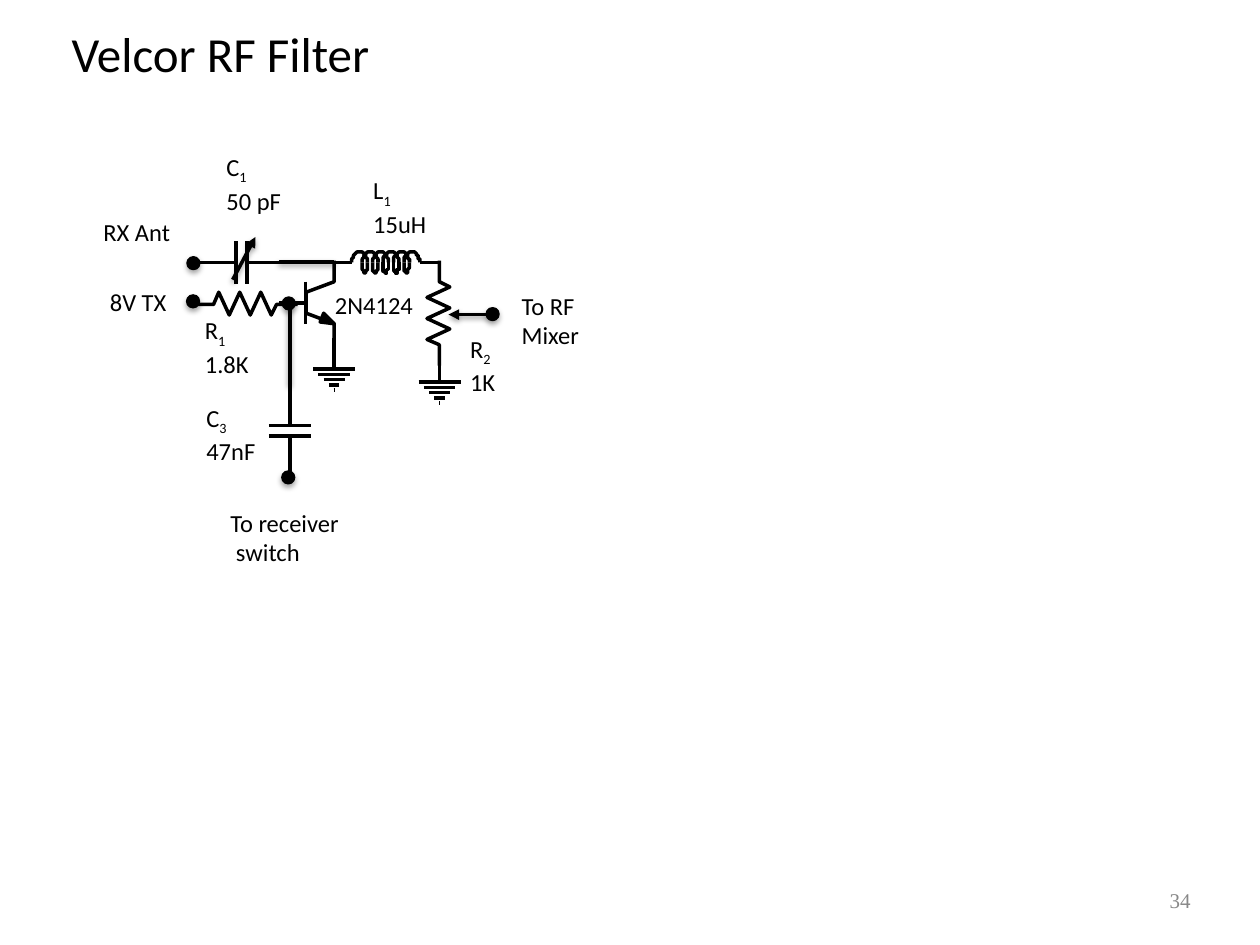
from math import cos, pi, sin

from lxml.etree import SubElement
from pptx import Presentation
from pptx.dml.color import RGBColor
from pptx.enum.shapes import MSO_CONNECTOR, MSO_SHAPE
from pptx.enum.text import MSO_ANCHOR, PP_ALIGN
from pptx.oxml.ns import qn
from pptx.util import Pt

COLORS = {"ink": "000000", "number": "888888"}
STROKE = 2
ZIGZAG = [(0, 0), (0, 12), (6.3, 15), (-6.3, 21), (6.3, 27), (-6.3, 33),
          (6.3, 39), (-6.3, 45), (0, 48), (0, 60)]
LABELS = [
    ("R_2\n1K", 265, 187.2, 53, 41),
    ("8V TX", 59.2, 160.6, 52, 24.2),
    ("C_1\n50 pF", 125.8, 83.5, 53, 41),
    ("RX Ant", 55.5, 120.7, 62, 24.2),
    ("2N4124", 187.8, 162, 62, 24.2),
    ("R_1\n1.8K", 113.5, 176.7, 53, 41),
    ("L_1\n15uH", 209.7, 96.7, 53, 41),
    ("C_3\n47nF", 114.3, 226.8, 43, 41),
    ("To receiver\n switch", 128, 286.6, 72, 41),
    ("To RF\nMixer", 294.5, 162.7, 72, 41),
]


def color(name):
    """Return a named colour from the palette."""
    return RGBColor.from_string(COLORS[name])


def add_effects(shape, opacity=0, distance=1.6):
    """Give a shape a soft shadow below it, or none at zero opacity."""
    effects = SubElement(shape._element.spPr, qn("a:effectLst"))
    if opacity:
        shadow = SubElement(effects, qn("a:outerShdw"), blurRad=str(Pt(3)),
                            dist=str(Pt(distance)), dir="5400000", rotWithShape="0")
        tone = SubElement(shadow, qn("a:srgbClr"), val=COLORS["ink"])
        SubElement(tone, qn("a:alpha"), val=str(opacity * 1000))


def add_text(page, text, left, top, width, height, *, size=14, font="Calibri",
             ink="ink", inset=3.6, wrap=True, align=PP_ALIGN.LEFT, anchor=MSO_ANCHOR.TOP):
    """Add a text box; an underscore in a line starts a subscript."""
    box = page.shapes.add_textbox(Pt(left), Pt(top), Pt(width), Pt(height))
    frame = box.text_frame
    frame.word_wrap, frame.vertical_anchor = wrap, anchor
    frame.margin_left = frame.margin_right = Pt(inset)
    frame.margin_top = frame.margin_bottom = Pt(inset)
    for index, line in enumerate(text.split("\n")):
        para = frame.add_paragraph() if index else frame.paragraphs[0]
        para.alignment = align
        for order, part in enumerate(line.split("_")):
            span = para.add_run()
            span.text = part
            span.font.size, span.font.name = Pt(size), font
            span.font.color.rgb = color(ink)
            if order:
                span._r.get_or_add_rPr().set("baseline", "-25000")


def add_wire(page, start_x, start_y, end_x, end_y, arrow=False, shadow=False):
    """Add a straight wire, with an arrowhead at its end if asked."""
    wire = page.shapes.add_connector(MSO_CONNECTOR.STRAIGHT, Pt(start_x), Pt(start_y),
                                     Pt(end_x), Pt(end_y))
    wire.line.width = Pt(STROKE)
    wire.line.color.rgb = color("ink")
    if arrow:
        SubElement(wire.line._get_or_add_ln(), qn("a:tailEnd"), type="triangle")
    add_effects(wire, 38 if shadow else 0)


def add_path(page, points, closed=False):
    """Draw a path through points, filled when closed."""
    builder = page.shapes.build_freeform(*points[0], scale=Pt(1))
    builder.add_line_segments(points[1:], close=closed)
    shape = builder.convert_to_shape()
    shape.shadow.inherit = False
    shape.line.width = Pt(STROKE)
    shape.line.color.rgb = color("ink")
    if closed:
        shape.fill.solid()
        shape.fill.fore_color.rgb = color("ink")
    else:
        shape.fill.background()


def add_terminal(page, center_x, center_y, size=7.4):
    """Add a round terminal."""
    dot = page.shapes.add_shape(MSO_SHAPE.OVAL, Pt(center_x - size / 2),
                                Pt(center_y - size / 2), Pt(size), Pt(size))
    dot.fill.solid()
    dot.fill.fore_color.rgb = color("ink")
    dot.line.color.rgb = color("ink")
    dot.line.width = Pt(0.75)
    add_effects(dot, 35, 1.8)


def add_ground(page, x, top):
    """Add a ground symbol hanging from a lead."""
    add_wire(page, x, top, x, top + 18)
    for index, half in enumerate((12, 9, 6, 3, 0.3)):
        y = top + 18 + 3 * index
        add_wire(page, x - half, y, x + half, y)


def add_arc(page, left, right, y, rise):
    """Add half an ellipse that rises above, or hangs below, its base."""
    middle, radius = (left + right) / 2, (right - left) / 2
    angles = [pi * step / 24 for step in range(25)]
    add_path(page, [(middle - radius * cos(a), y - rise * sin(a)) for a in angles])


def add_inductor(page, left, y, turns=6, pitch=5.95, width=9):
    """Add a coil with a lead on each side."""
    right = left + (turns - 1) * pitch + width
    add_wire(page, left, y, left - 10.8, y)
    add_wire(page, right + 10.8, y, right, y)
    for turn in range(turns):
        start = left + turn * pitch
        add_arc(page, start, start + width, y, 6)
        if turn:
            add_arc(page, start, start - pitch + width, y, -6)


def add_transistor(page, base_x, y):
    """Add an NPN transistor with its three leads."""
    lead = base_x + 16.4
    add_path(page, [(lead, y - 24), (lead, y - 12), (base_x, y - 6),
                    (base_x, y + 6), (lead, y + 12), (lead, y + 24)])
    add_wire(page, base_x, y - 12, base_x, y + 12)
    add_wire(page, base_x, y, base_x - 15, y)
    add_path(page, [(lead, y + 12), (lead - 8, y + 11.3), (lead - 6, y + 6)], closed=True)


def add_tuning_capacitor(page, center_x, y):
    """Add a variable capacitor between horizontal leads."""
    for side in (1, -1):
        plate = center_x + side * 3
        add_wire(page, center_x + side * 30, y, plate, y)
        add_wire(page, plate, y - 12, plate, y + 12)
    add_wire(page, center_x - 5, y + 9.8, center_x + 8, y - 14.6, arrow=True, shadow=True)


def add_capacitor(page, x, center_y):
    """Add a fixed capacitor between vertical leads."""
    for side in (-1, 1):
        plate = center_y + side * 3
        add_wire(page, x, center_y + side * 30, x, plate)
        add_wire(page, x - 12, plate, x + 12, plate)


def add_circuit(page):
    """Draw the filter's parts and wiring."""
    add_ground(page, 191, 193)
    add_transistor(page, 174.7, 173)
    add_inductor(page, 201, 150)
    add_path(page, [(250.6 + x, 149 + y) for x, y in ZIGZAG])
    add_tuning_capacitor(page, 138, 150)
    add_wire(page, 159.4, 149.6, 191, 149.6, shadow=True)
    add_path(page, [(170 - y, 173.5 + x) for x, y in ZIGZAG])
    add_ground(page, 251.2, 200.4)
    add_wire(page, 281.5, 179.8, 256.3, 179.8, arrow=True, shadow=True)
    add_capacitor(page, 165.6, 246.2)
    add_wire(page, 165.6, 219.6, 165.6, 173.5, shadow=True)
    for x, y in ((281.5, 179.5), (110.5, 150.4), (110.3, 172.2), (164.7, 272.8), (165, 173.4)):
        add_terminal(page, x, y)


def main():
    """Build and save the filter slide."""
    deck = Presentation()
    deck.slide_width, deck.slide_height = Pt(720), Pt(540)
    page = deck.slides.add_slide(deck.slide_layouts[6])
    add_text(page, "Velcor RF Filter", 41, 13.7, 175.7, 33.8, size=28, inset=0, wrap=False)
    add_text(page, "34", 516.2, 504, 167.8, 21, size=12, font="Times New Roman",
             ink="number", align=PP_ALIGN.RIGHT, anchor=MSO_ANCHOR.MIDDLE)
    add_circuit(page)
    for label in LABELS:
        add_text(page, *label)
    deck.save("out.pptx")


if __name__ == "__main__":
    main()
